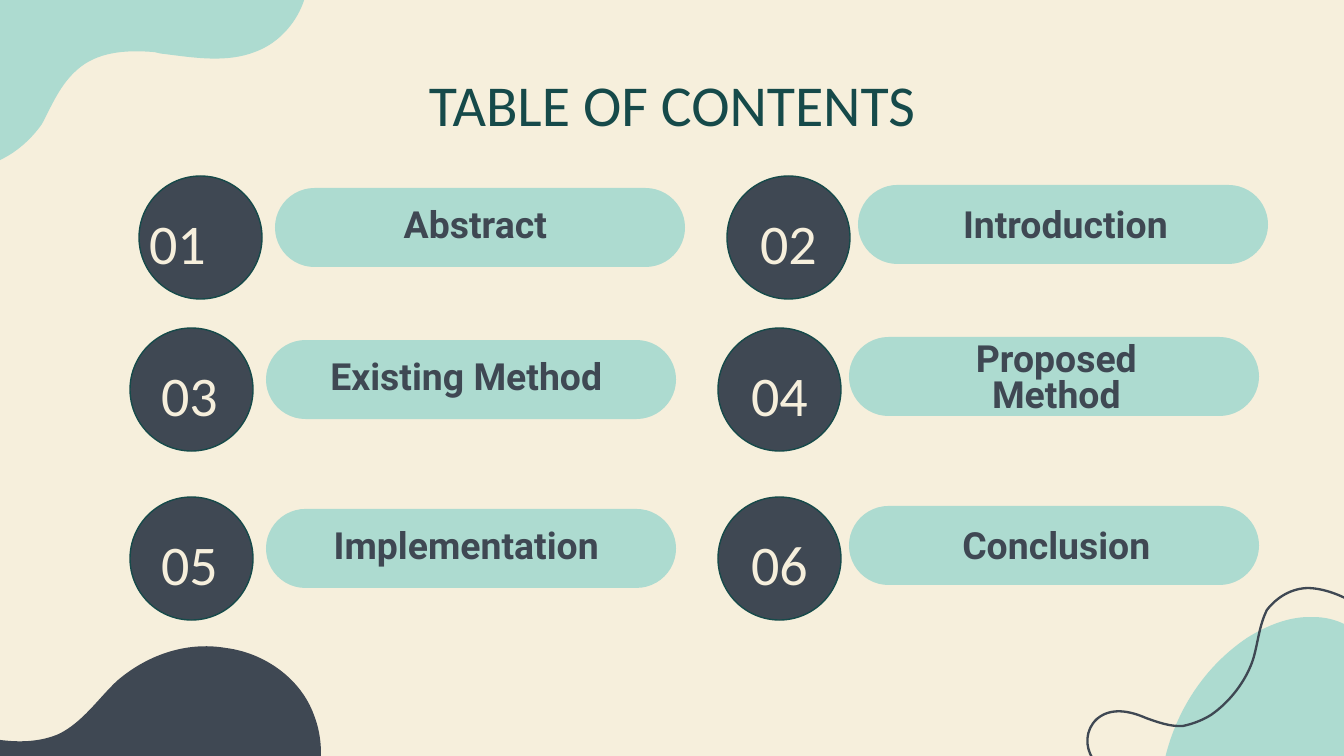
from lxml import etree
from pptx import Presentation
from pptx import util as u
from pptx.dml.color import RGBColor
from pptx.enum import shapes, text
from pptx.oxml import ns

PX = 914400 / 134.4
CREAM = RGBColor(0xF6, 0xEF, 0xDC)
MINT = RGBColor(0xAD, 0xDB, 0xD0)
SLATE = RGBColor(0x3F, 0x48, 0x53)
TEAL = RGBColor(0x16, 0x4A, 0x4A)

COLUMN_STEP = 588
ROWS = [
    (139, 176, ["Abstract", "Introduction"]),
    (130, 328, ["Existing Method", "Proposed Method"]),
    (130, 497, ["Implementation", "Conclusion"]),
]
PILL_OFFSETS = [(136, 12), (131, 9)]
LABEL_OFFSETS = [135, 137]
LABEL_INDENTS = [0, 67]
NUMBER_OFFSETS = [10, 12]

MINT_HILL = [
    (1309, 617),
    (1288, 617, 1266, 626, 1247, 638),
    (1204, 667, 1175, 712, 1164, 763),
    (1359, 763),
    (1374, 745, 1384, 724, 1386, 706),
    (1390, 659, 1360, 617, 1313, 617),
]
SLATE_HILL = [
    (314, 715),
    (301, 679, 265, 653, 226, 648),
    (185, 641, 146, 656, 117, 681),
    (98, 699, 83, 722, 59, 734),
    (24, 749, -17, 738, -54, 728),
    (-73, 723, -94, 719, -113, 719),
    (-113, 789),
    (316, 789),
    (323, 763, 323, 738, 314, 715),
]
MINT_CORNER = [
    (308, -28),
    (306, -39, 304, -50, 298, -58),
    (255, -117, 172, -43, 122, -89),
    (99, -110, 93, -125, 55, -113),
    (24, -103, -1, -78, -7, -46),
    (-9, -30, -7, -12, -8, 5),
    (-8, 15, -9, 26, -15, 34),
    (-31, 60, -69, 65, -85, 91),
    (-101, 121, -75, 161, -43, 167),
    (-9, 172, 23, 151, 42, 124),
    (52, 105, 60, 85, 77, 70),
    (97, 52, 125, 50, 152, 52),
    (156, 52, 160, 54, 164, 54),
    (195, 58, 227, 63, 255, 52),
    (288, 40, 310, 5, 308, -28),
]
SLATE_THREAD = [
    (1365, 609),
    (1347, 598, 1329, 589, 1309, 588),
    (1292, 588, 1277, 597, 1267, 610),
    (1259, 626, 1258, 644, 1253, 660),
    (1246, 681, 1230, 702, 1211, 715),
    (1203, 720, 1193, 724, 1183, 726),
    (1171, 727, 1157, 722, 1146, 718),
    (1130, 711, 1111, 707, 1097, 719),
    (1085, 730, 1085, 747, 1093, 759),
    (1097, 766, 1103, 773, 1109, 778),
    (1117, 786, 1124, 796, 1128, 806),
    (1132, 821, 1132, 837, 1128, 852),
]


def px(length):
    return u.Emu(round(length * PX))


def paint(shape, fill=None, line=None, weight=0.75):
    shape.shadow.inherit = False
    if fill is None:
        shape.fill.background()
    else:
        shape.fill.solid()
        shape.fill.fore_color.rgb = fill
    if line is None:
        shape.line.fill.background()
    else:
        shape.line.color.rgb = line
        shape.line.width = u.Pt(weight)


def bend(shape, segments):
    left = min(segment[-2] for segment in segments)
    top = min(segment[-1] for segment in segments)
    edges = list(shape._element.iter(ns.qn("a:lnTo")))
    for edge, segment in zip(edges, segments[1:]):
        if len(segment) == 2:
            continue
        edge.tag = ns.qn("a:cubicBezTo")
        for index in (0, 1):
            x, y = segment[2 * index:2 * index + 2]
            control = etree.Element(ns.qn("a:pt"), x=str(x - left), y=str(y - top))
            edge.insert(index, control)


def add_curve(slide, segments, fill=None, line=None):
    anchors = [segment[-2:] for segment in segments]
    builder = slide.shapes.build_freeform(*anchors[0], scale=PX)
    builder.add_line_segments(anchors[1:], close=fill is not None)
    shape = builder.convert_to_shape()
    bend(shape, segments)
    paint(shape, fill, line, 1.25)


def add_preset(slide, kind, box, fill, line=None):
    shape = slide.shapes.add_shape(kind, *map(px, box))
    paint(shape, fill, line)
    return shape


def add_text(slide, box, words, size, font, color, bold=False, spacing=None,
             indent=0, align=text.PP_ALIGN.CENTER, anchor=text.MSO_ANCHOR.MIDDLE):
    frame = slide.shapes.add_textbox(*map(px, box)).text_frame
    frame.word_wrap = True
    frame.vertical_anchor = anchor
    frame.margin_left = frame.margin_right = frame.margin_top = frame.margin_bottom = 0
    paragraph = frame.paragraphs[0]
    paragraph.alignment = align
    paragraph.line_spacing = spacing
    if indent:
        for side in ("marL", "marR"):
            paragraph._p.get_or_add_pPr().set(side, str(px(indent)))
    run = paragraph.add_run()
    run.text = words
    run.font.size = u.Pt(size)
    run.font.name = font
    run.font.bold = bold
    run.font.color.rgb = color


def add_entry(slide, left, top, column, number, label):
    shift_x, shift_y = PILL_OFFSETS[column]
    pill = add_preset(slide, shapes.MSO_SHAPE.ROUNDED_RECTANGLE,
                      (left + shift_x, top + shift_y, 410, 79), MINT)
    pill.adjustments[0] = 0.5
    add_preset(slide, shapes.MSO_SHAPE.OVAL, (left, top, 123, 123), SLATE, TEAL)
    add_text(slide, (left + LABEL_OFFSETS[column], top + 12, 403, 79), label, 20,
             "Roboto", SLATE, bold=True, spacing=0.8, indent=LABEL_INDENTS[column])
    align = text.PP_ALIGN.LEFT if number == 1 else text.PP_ALIGN.CENTER
    add_text(slide, (left + NUMBER_OFFSETS[column], top + 15, 99, 103),
             f"{number:02d}", 30, "Calibri", CREAM, align=align)


def main():
    presentation = Presentation()
    presentation.slide_width = px(1344)
    presentation.slide_height = px(756)
    slide = presentation.slides.add_slide(presentation.slide_layouts[6])
    slide.background.fill.solid()
    slide.background.fill.fore_color.rgb = CREAM

    add_curve(slide, MINT_HILL, fill=MINT)
    add_curve(slide, SLATE_HILL, fill=SLATE)
    add_curve(slide, MINT_CORNER, fill=MINT)
    add_curve(slide, SLATE_THREAD, line=SLATE)

    add_text(slide, (105, 69, 1134, 67), "TABLE OF CONTENTS", 31, "Calibri", TEAL,
             anchor=text.MSO_ANCHOR.TOP)
    for row, (left, top, labels) in enumerate(ROWS):
        for column, label in enumerate(labels):
            add_entry(slide, left + column * COLUMN_STEP, top, column,
                      2 * row + column + 1, label)
    presentation.save("out.pptx")


if __name__ == "__main__":
    main()
